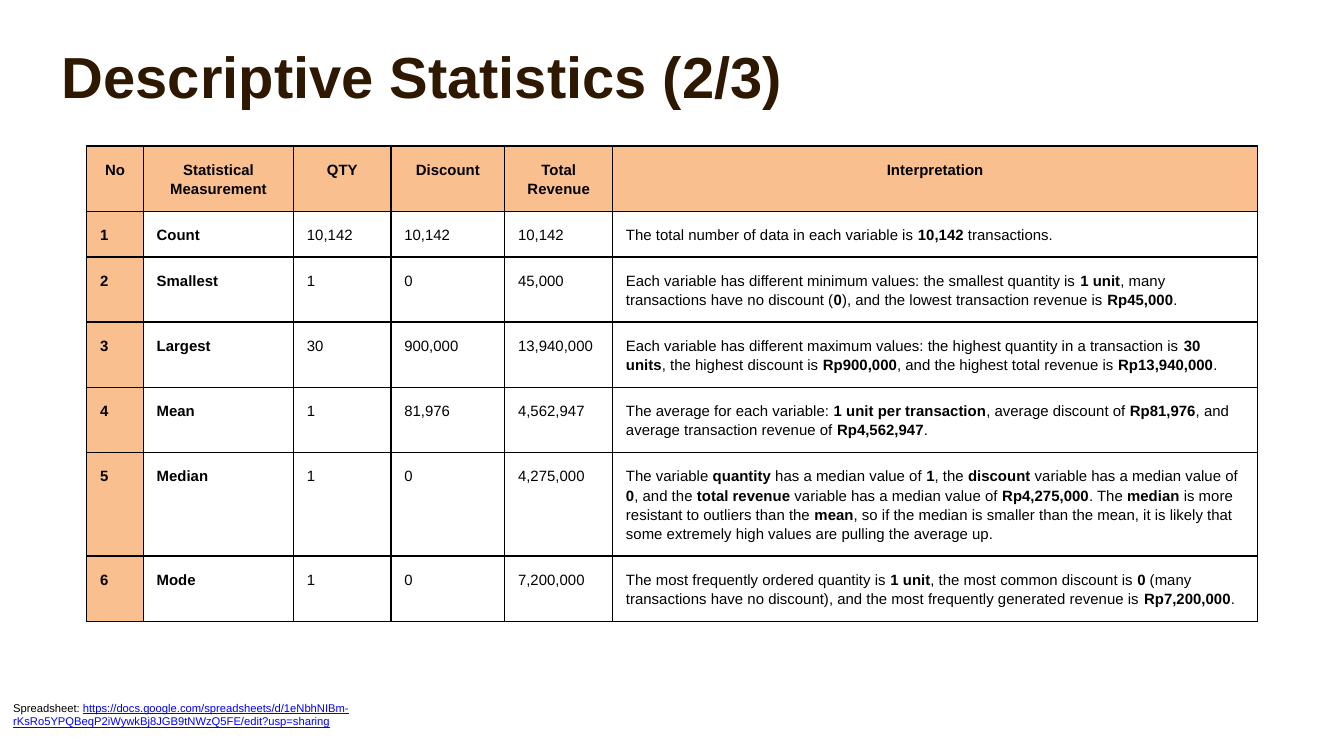
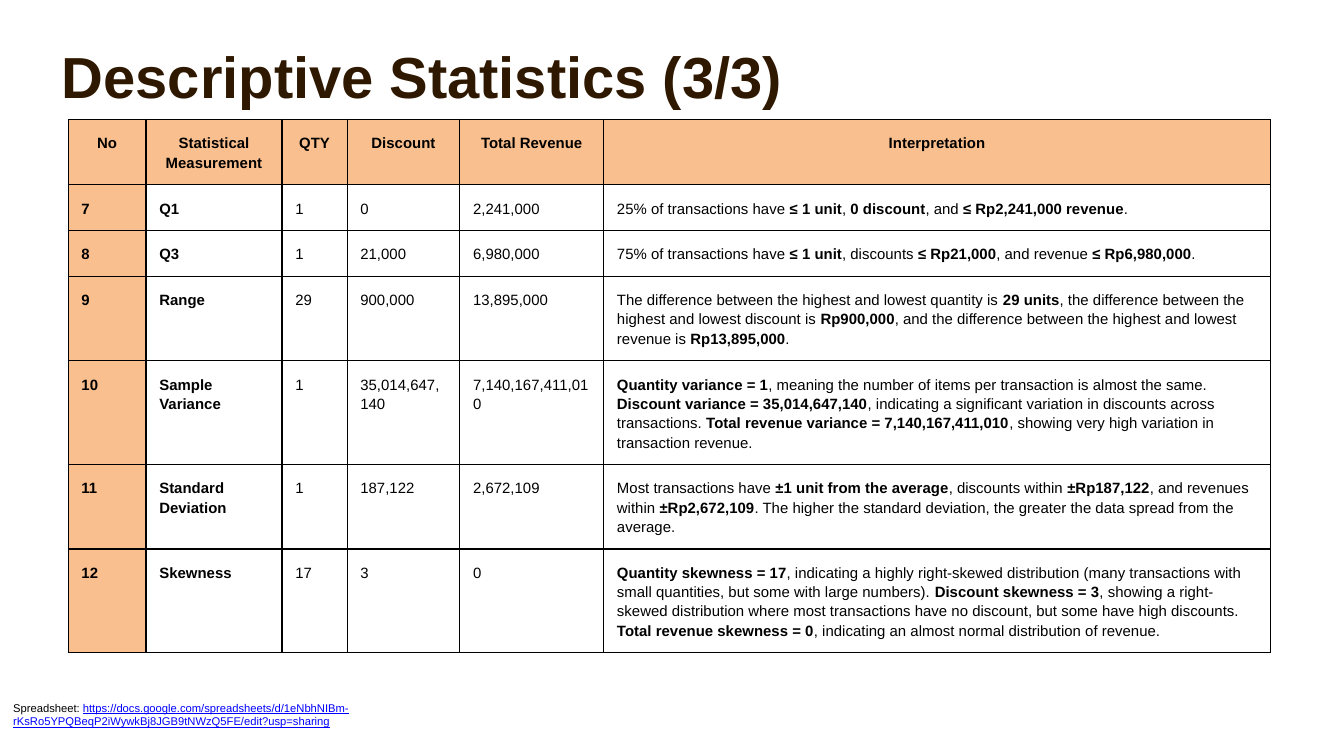
"""Builds two slides of descriptive statistics tables with their interpretations."""
from pptx import Presentation
from pptx.dml.color import RGBColor as RGB
from pptx.enum.text import MSO_ANCHOR as ANCHOR, MSO_AUTO_SIZE as AUTO_SIZE, PP_ALIGN as ALIGN
from pptx.oxml import parse_xml
from pptx.oxml.ns import nsdecls
from pptx.util import Cm, Pt

COLORS = {"title": "2F1800", "band": "FABF8E", "text": "000000", "link": "0000FF", "border": "000000"}
FONT = "Arial"
PADDING = Cm(0.25)
HEADINGS = ["No", "Statistical Measurement", "QTY", "Discount", "Total Revenue", "Interpretation"]
SHEET_URL = (
    "https://docs.google.com/spreadsheets/d/"
    "1eNbhNIBm-rKsRo5YPQBeqP2iWywkBj8JGB9tNWzQ5FE/edit?usp=sharing"
)

PAGES = [
    {
        "title": "Descriptive Statistics (2/3)",
        "left": 1.64,
        "top": 2.76,
        "widths": [1.07, 2.84, 1.84, 2.15, 2.04, 12.19],
        "heights": [1.17, 0.81, 1.17, 1.17, 1.17, 1.9, 1.17],
        "rows": [
            ["1", "Count", "10,142", "10,142", "10,142",
             "The total number of data in each variable is **10,142 **transactions."],
            ["2", "Smallest", "1", "0", "45,000",
             "Each variable has different minimum values: the smallest quantity is **1 unit**, many "
             "transactions have no discount (**0**), and the lowest transaction revenue is **Rp45,000**."],
            ["3", "Largest", "30", "900,000", "13,940,000",
             "Each variable has different maximum values: the highest quantity in a transaction is "
             "**30 units**, the highest discount is **Rp900,000**, and the highest total revenue is "
             "**Rp13,940,000**."],
            ["4", "Mean", "1", "81,976", "4,562,947",
             "The average for each variable: **1 unit per transaction**, average discount of "
             "**Rp81,976**, and average transaction revenue of **Rp4,562,947**."],
            ["5", "Median", "1", "0", "4,275,000",
             "The variable **quantity** has a median value of **1**, the **discount** variable has a "
             "median value of **0**, and the **total revenue **variable has a median value of "
             "**Rp4,275,000**. The **median** is more resistant to outliers than the **mean**, so if "
             "the median is smaller than the mean, it is likely that some extremely high values are "
             "pulling the average up."],
            ["6", "Mode", "1", "0", "7,200,000",
             "The most frequently ordered quantity is **1 unit**, the most common discount is **0** "
             "(many transactions have no discount), and the most frequently generated revenue is "
             "**Rp7,200,000**."],
        ],
    },
    {
        "title": "Descriptive Statistics (3/3)",
        "left": 1.29,
        "top": 2.26,
        "widths": [1.47, 2.57, 1.23, 2.13, 2.72, 12.6],
        "heights": [0.97, 0.66, 0.66, 1.27, 1.55, 1.12, 1.55],
        "rows": [
            ["7", "Q1", "1", "0", "2,241,000",
             "25% of transactions have **≤ 1 unit**, **0 discount**, and **≤ Rp2,241,000 revenue**."],
            ["8", "Q3", "1", "21,000", "6,980,000",
             "75% of transactions have **≤ 1 unit**, discounts **≤ Rp21,000**, and revenue "
             "**≤ Rp6,980,000**."],
            ["9", "Range", "29", "900,000", "13,895,000",
             "The difference between the highest and lowest quantity is **29 units**, the difference "
             "between the highest and lowest discount is **Rp900,000**, and the difference between the "
             "highest and lowest revenue is **Rp13,895,000**."],
            ["10", "Sample Variance", "1", "35,014,647,140", "7,140,167,411,010",
             "**Quantity variance = 1**, meaning the number of items per transaction is almost the same. "
             "**Discount variance = 35,014,647,140**, indicating a significant variation in discounts "
             "across transactions. **Total revenue variance = 7,140,167,411,010**, showing very high "
             "variation in transaction revenue."],
            ["11", "Standard Deviation", "1", "187,122", "2,672,109",
             "Most transactions have **±1 unit from the average**, discounts within **±Rp187,122**, and "
             "revenues within **±Rp2,672,109**. The higher the standard deviation, the greater the data "
             "spread from the average."],
            ["12", "Skewness", "17", "3", "0",
             "**Quantity skewness = 17**, indicating a highly right-skewed distribution (many "
             "transactions with small quantities, but some with large numbers). **Discount skewness = "
             "3**, showing a right-skewed distribution where most transactions have no discount, but "
             "some have high discounts. **Total revenue skewness = 0**, indicating an almost normal "
             "distribution of revenue."],
        ],
    },
]


def style_run(run, size, color, bold=False):
    run.font.name = FONT
    run.font.size = Pt(size)
    run.font.bold = bold
    run.font.color.rgb = RGB.from_string(COLORS[color])


def add_borders(cell):
    for side in ("lnL", "lnR", "lnT", "lnB"):
        cell._tc.get_or_add_tcPr().append(parse_xml(
            f'<a:{side} {nsdecls("a")} w="{Pt(0.75)}"><a:solidFill>'
            f'<a:srgbClr val="{COLORS["border"]}"/></a:solidFill></a:{side}>'
        ))


deck = Presentation()
deck.slide_width, deck.slide_height = Cm(25.4), Cm(14.29)

for page in PAGES:
    slide = deck.slides.add_slide(deck.slide_layouts[5])

    title = slide.shapes.title
    title.left, title.top, title.width, title.height = Cm(1.17), Cm(0.76), Cm(16.46), Cm(1.32)
    heading = title.text_frame
    heading.text = page["title"]
    heading.margin_left = heading.margin_right = heading.margin_top = heading.margin_bottom = 0
    heading.vertical_anchor = ANCHOR.TOP
    heading.auto_size = AUTO_SIZE.NONE
    heading.paragraphs[0].alignment = ALIGN.LEFT
    style_run(heading.paragraphs[0].runs[0], 31, "title", True)

    rows = [HEADINGS] + page["rows"]
    statistics = slide.shapes.add_table(
        len(rows), len(HEADINGS), Cm(page["left"]), Cm(page["top"]),
        Cm(sum(page["widths"])), Cm(sum(page["heights"])),
    ).table
    statistics.first_row = statistics.horz_banding = False
    for column, width in zip(statistics.columns, page["widths"]):
        column.width = Cm(width)
    for row, height in zip(statistics.rows, page["heights"]):
        row.height = Cm(height)

    for r, values in enumerate(rows):
        for c, value in enumerate(values):
            cell = statistics.cell(r, c)
            cell.margin_left = cell.margin_right = cell.margin_top = cell.margin_bottom = PADDING
            add_borders(cell)
            if r == 0 or c == 0:
                cell.fill.solid()
                cell.fill.fore_color.rgb = RGB.from_string(COLORS["band"])
            else:
                cell.fill.background()
            paragraph = cell.text_frame.paragraphs[0]
            paragraph.alignment = ALIGN.CENTER if r == 0 else ALIGN.LEFT
            paragraph.line_spacing = 1.15
            for part, words in enumerate(value.split("**")):
                if words:
                    run = paragraph.add_run()
                    run.text = words
                    style_run(run, 8, "text", r == 0 or c < 2 or part % 2 == 1)

    source = slide.shapes.add_textbox(0, Cm(13), Cm(10.92), Cm(1.27)).text_frame
    source.word_wrap = True
    source.margin_left = source.margin_right = source.margin_top = source.margin_bottom = PADDING
    source.text = "Spreadsheet: "
    style_run(source.paragraphs[0].runs[0], 6, "text")
    link = source.paragraphs[0].add_run()
    link.text = SHEET_URL
    style_run(link, 6, "link")
    link.font.underline = True

deck.save("out.pptx")
